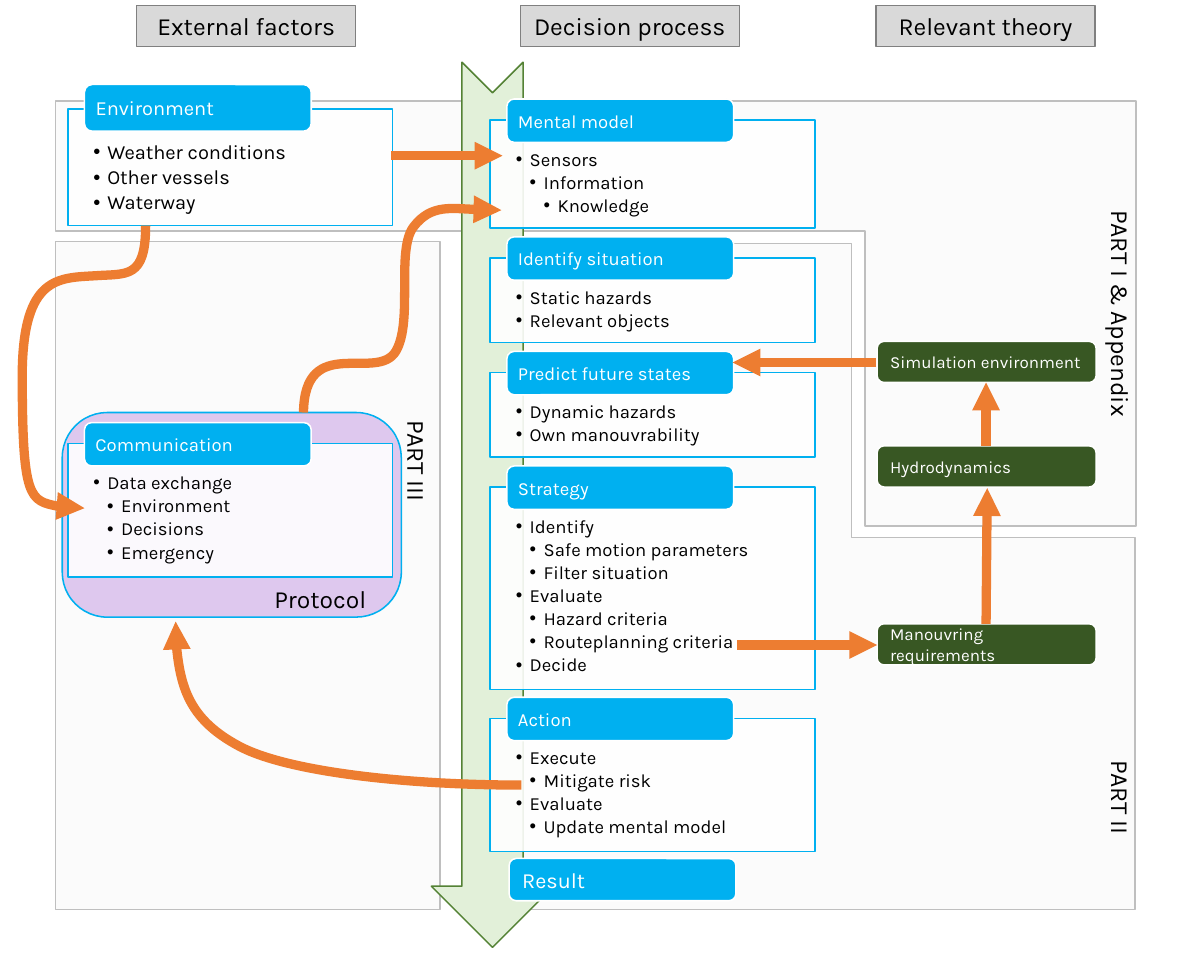
from lxml.etree import SubElement
from pptx import Presentation
from pptx.dml.color import RGBColor
from pptx.enum.shapes import MSO_CONNECTOR, MSO_SHAPE
from pptx.enum.text import MSO_ANCHOR, MSO_AUTO_SIZE, PP_ALIGN
from pptx.oxml.ns import qn
from pptx.util import Inches, Pt

COLORS = {
    "black": "000000", "white": "FFFFFF", "panel": "F2F2F2", "panel_edge": "BFBFBF",
    "blue": "00B0F0", "lilac": "DEC8EE", "pale_green": "E2F0D9", "green_edge": "548235",
    "dark_green": "385723", "orange": "ED7D31", "grey": "D9D9D9", "grey_edge": "808080",
}


def paint(shape, box, fill, edge, alpha=100, width=1):
    for name, value in zip(("left", "top", "width", "height"), box):
        setattr(shape, name, Inches(value))
    shape.shadow.inherit = False
    shape.fill.solid()
    shape.fill.fore_color.rgb = RGBColor.from_string(COLORS[fill])
    shape.line.color.rgb = RGBColor.from_string(COLORS[edge])
    shape.line.width = Pt(width)
    if alpha < 100:
        color = shape.fill._xPr.find(qn("a:solidFill"))[0]
        SubElement(color, qn("a:alpha"), val=str(alpha * 1000))
    return shape


def write(shape, rows, size, color="black", align=PP_ALIGN.LEFT, anchor=MSO_ANCHOR.TOP,
          insets=(0.1, 0.05, 0.1, 0.05)):
    frame = shape.text_frame
    margins = zip(("margin_left", "margin_top", "margin_right", "margin_bottom"), map(Inches, insets))
    frame_format = {"word_wrap": True, "auto_size": MSO_AUTO_SIZE.NONE, "vertical_anchor": anchor}
    for name, value in {**frame_format, **dict(margins)}.items():
        setattr(frame, name, value)
    for number, (text, level) in enumerate(rows):
        paragraph = frame.add_paragraph() if number else frame.paragraphs[0]
        run = paragraph.add_run()
        run.text = text
        paragraph_format = {"alignment": align, "level": level, "space_before": Pt(0)}
        if level:
            paragraph_format.update(line_spacing=0.9, space_after=Pt(round(size * 0.17, 1)))
        for name, value in paragraph_format.items():
            setattr(paragraph, name, value)
        for name, value in {"name": "Karla", "size": Pt(size), "bold": False}.items():
            setattr(run.font, name, value)
        run.font.color.rgb = RGBColor.from_string(COLORS[color])
        if level:
            properties = paragraph._p.get_or_add_pPr()
            properties.set("marL", str(Inches(0.125 * level)))
            properties.set("indent", str(-Inches(0.125)))
            SubElement(properties, qn("a:buFont"), typeface="Arial")
            SubElement(properties, qn("a:buChar"), char="•")


deck = Presentation()
deck.slide_width, deck.slide_height = Inches(10.83), Inches(8.66)
slide = deck.slides.add_slide(deck.slide_layouts[4])
shapes = slide.shapes
title = shapes.title
list_holders = [holder for holder in slide.placeholders if holder.placeholder_format.idx > 0]

backdrop = [
    (MSO_SHAPE.CORNER, (0.5, 0.91, 9.72, 3.82), 180, (0.306, 0.639), "panel", "panel_edge", 26),
    (MSO_SHAPE.CORNER, (4.21, 2.19, 6, 5.99), 0, (0.559, 0.576), "panel", "panel_edge", 26),
    (MSO_SHAPE.RECTANGLE, (0.5, 2.17, 3.46, 6.01), 0, (), "panel", "panel_edge", 26),
    (MSO_SHAPE.ROUNDED_RECTANGLE, (0.56, 3.71, 3.05, 1.84), 0, (0.22,), "lilac", "blue", 100),
    (MSO_SHAPE.NOTCHED_RIGHT_ARROW, (0.45, 3.99, 7.96, 1.1), 90, (), "pale_green", "green_edge", 100),
]
for kind, box, rotation, adjustments, fill, edge, alpha in backdrop:
    part = paint(shapes.add_shape(kind, 0, 0, 0, 0), box, fill, edge, alpha)
    part.rotation = rotation
    for index, value in enumerate(adjustments):
        part.adjustments[index] = value

stages = [
    ("Mental model", 4.41, 1.08, 0.97, 12, [("Sensors", 1), ("Information", 2), ("Knowledge", 3)]),
    ("Identify situation", 4.41, 2.32, 0.76, 12, [("Static hazards", 1), ("Relevant objects", 1)]),
    ("Predict future states", 4.41, 3.35, 0.76, 12, [("Dynamic hazards", 1), ("Own manouvrability", 1)]),
    ("Strategy", 4.41, 4.38, 1.82, 12, [
        ("Identify", 1), ("Safe motion parameters", 2), ("Filter situation", 2), ("Evaluate", 1),
        ("Hazard criteria", 2), ("Routeplanning criteria", 2), ("Decide", 1)]),
    ("Action", 4.41, 6.46, 1.2, 12, [
        ("Execute", 1), ("Mitigate risk", 2), ("Evaluate", 1), ("Update mental model", 2)]),
    ("Communication", 0.61, 3.99, 1.2, 12, [
        ("Data exchange", 1), ("Environment", 2), ("Decisions", 2), ("Emergency", 2)]),
    ("Environment", 0.61, 0.98, 1.05, 13, [
        ("Weather conditions", 1), ("Other vessels", 1), ("Waterway", 1)]),
]
for heading, left, top, height, size, items in stages:
    if list_holders:
        details = list_holders.pop(0)
        shapes._spTree.append(details._element)
    else:
        details = shapes.add_shape(MSO_SHAPE.RECTANGLE, 0, 0, 0, 0)
    paint(details, (left, top, 2.92, height), "white", "blue", 90)
    write(details, items, size, insets=(0.23, 0.27 if size == 12 else 0.3, 0.23, 0.09))
    tab_height = 0.39 if size == 12 else 0.42
    tab = shapes.add_shape(MSO_SHAPE.ROUNDED_RECTANGLE, 0, 0, 0, 0)
    paint(tab, (left + 0.15, top + 0.2 - tab_height, 2.04, tab_height), "blue", "white")
    write(tab, [(heading, 0)], size, "white", anchor=MSO_ANCHOR.MIDDLE, insets=(0.08, 0, 0.08, 0))

boxes = [
    ("Simulation environment", (7.89, 3.07, 1.97, 0.37), 11, "dark_green"),
    ("Hydrodynamics", (7.89, 4.01, 1.97, 0.37), 11, "dark_green"),
    ("Manouvring requirements", (7.89, 5.61, 1.97, 0.37), 11, "dark_green"),
    ("Result", (4.58, 7.72, 2.04, 0.38), 14, "blue"),
]
for text, box, size, fill in boxes:
    theory = paint(shapes.add_shape(MSO_SHAPE.ROUNDED_RECTANGLE, 0, 0, 0, 0), box, fill, "white")
    write(theory, [(text, 0)], size, "white", anchor=MSO_ANCHOR.MIDDLE)

labels = [
    ("PART I & Appendix", (8.78, 2.91, 2.6, 0.37), 90, PP_ALIGN.LEFT),
    ("PART II", (9.34, 6.68, 1.48, 0.37), 90, PP_ALIGN.RIGHT),
    ("PART III", (2.98, 4.27, 1.54, 0.37), 90, PP_ALIGN.LEFT),
    ("Protocol", (2.37, 5.2, 1.16, 0.37), 0, PP_ALIGN.LEFT),
]
for text, box, rotation, align in labels:
    label = shapes.add_textbox(*map(Inches, box))
    label.rotation = rotation
    write(label, [(text, 0)], 16, align=align)

for text, left in (("External factors", 1.23), ("Decision process", 4.68), ("Relevant theory", 7.88)):
    if text == "Decision process":
        column = title
    else:
        column = shapes.add_shape(MSO_SHAPE.RECTANGLE, 0, 0, 0, 0)
    paint(column, (left, 0.05, 1.97, 0.37), "grey", "grey_edge", width=0.75)
    write(column, [(text, 0)], 16, align=PP_ALIGN.CENTER)

flows = [
    [(3.52, 1.4), (4.52, 1.4)],
    [(7.88, 3.26), (6.59, 3.26)],
    [(6.63, 5.8), (7.89, 5.8)],
    [(8.87, 5.61), (8.88, 4.39)],
    [(8.87, 4.01), (8.87, 3.44)],
    [(4.69, 7.06), (3.65, 7.06), (2.58, 6.94), (2.15, 6.71), (1.72, 6.48), (1.57, 6.08), (1.58, 5.59)],
    [(2.73, 3.71), (2.74, 2.99), (3.39, 3.44), (3.56, 3.16), (3.72, 2.89), (3.56, 2.25),
     (3.72, 2.04), (3.88, 1.83), (4.29, 1.89), (4.51, 1.89)],
    [(1.31, 2.03), (1.31, 2.51), (1.14, 2.46), (0.86, 2.48), (0.53, 2.5), (0.21, 2.48),
     (0.2, 3.35), (0.2, 4.5), (0.3, 4.57), (0.76, 4.57)],
]
for route in flows:
    points = [(Inches(x), Inches(y)) for x, y in route]
    if len(points) == 2:
        flow = shapes.add_connector(MSO_CONNECTOR.STRAIGHT, *points[0], *points[1])
    else:
        builder = shapes.build_freeform(*points[0])
        builder.add_line_segments(points[1:], close=False)
        flow = builder.convert_to_shape()
        flow.fill.background()
        outline = flow._element.find(".//" + qn("a:path"))
        steps = outline.findall(qn("a:lnTo"))
        for start in range(0, len(steps), 3):
            curve = SubElement(outline, qn("a:cubicBezTo"))
            for step in steps[start:start + 3]:
                curve.append(step[0])
                outline.remove(step)
    flow.line.color.rgb = RGBColor.from_string(COLORS["orange"])
    flow.line.width = Pt(6)
    SubElement(flow.line._get_or_add_ln(), qn("a:tailEnd"), type="triangle")
    SubElement(flow._element.spPr, qn("a:effectLst"))

deck.save("out.pptx")
